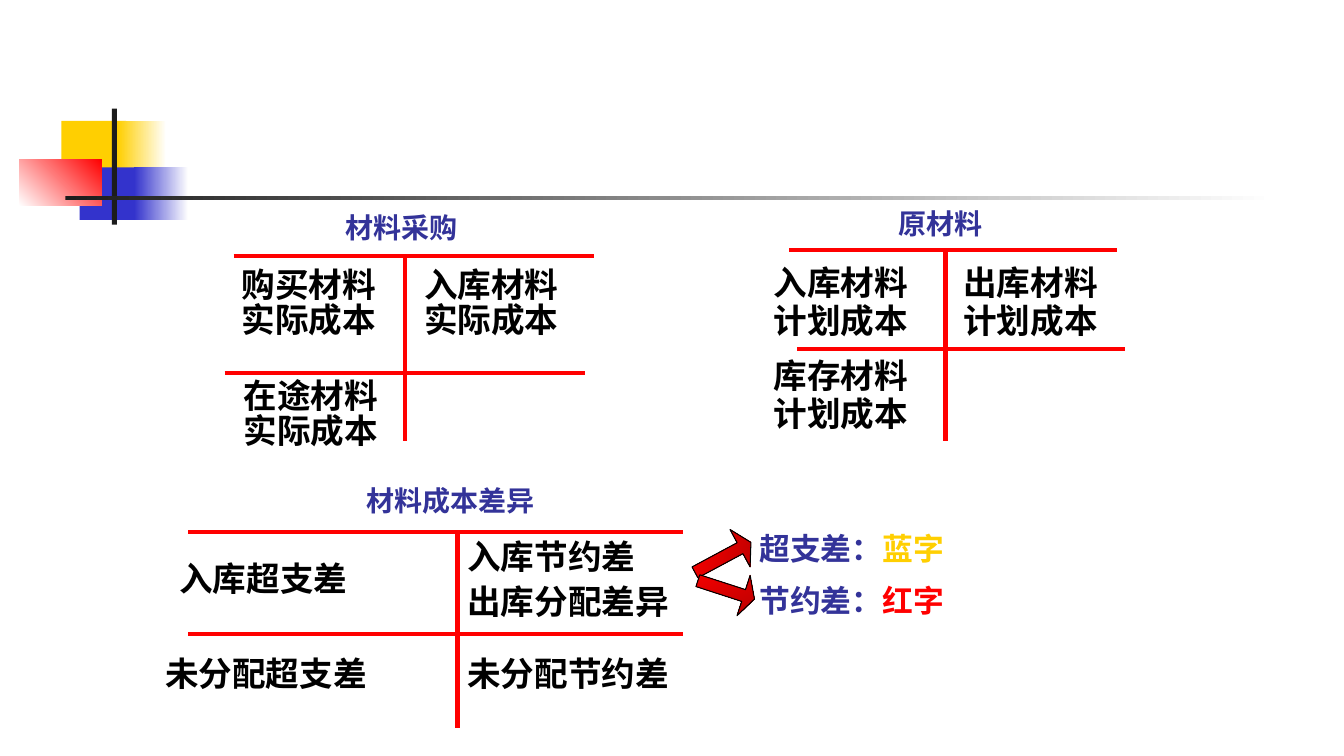
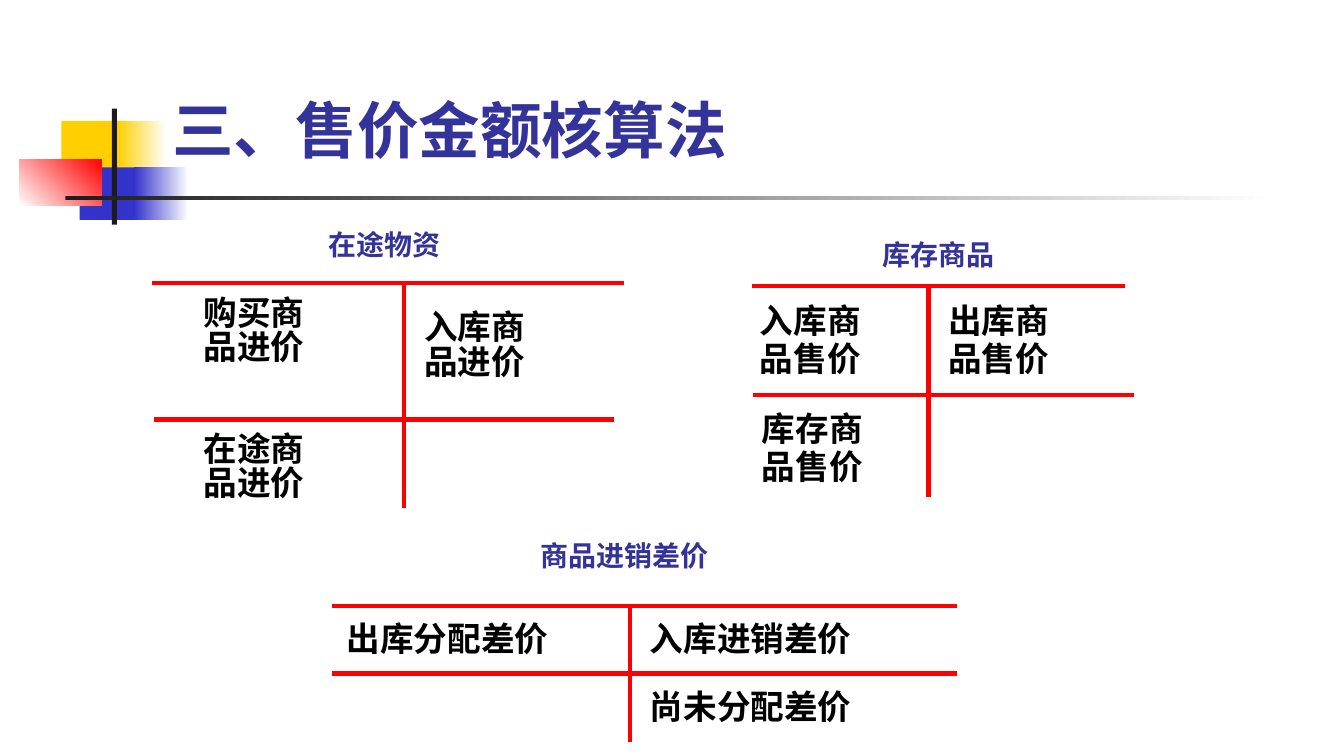
from dataclasses import dataclass

from lxml import etree
from pptx import Presentation
from pptx.dml.color import RGBColor
from pptx.enum.shapes import MSO_CONNECTOR, MSO_SHAPE
from pptx.enum.text import MSO_ANCHOR, MSO_AUTO_SIZE, PP_ALIGN
from pptx.oxml.ns import qn
from pptx.util import Cm, Pt

RECTANGLE = MSO_SHAPE.RECTANGLE
RIGHT_ARROW = MSO_SHAPE.RIGHT_ARROW
STRAIGHT = MSO_CONNECTOR.STRAIGHT
MIDDLE = MSO_ANCHOR.MIDDLE
GROW = MSO_AUTO_SIZE.SHAPE_TO_FIT_TEXT
LEFT = PP_ALIGN.LEFT

WHITE = RGBColor(0xFF, 0xFF, 0xFF)
BLACK = RGBColor(0x00, 0x00, 0x00)
INK = RGBColor(0x1C, 0x1C, 0x1C)
INDIGO = RGBColor(0x33, 0x33, 0x99)
BLUE = RGBColor(0x33, 0x33, 0xCC)
YELLOW = RGBColor(0xFF, 0xCF, 0x01)
RED = RGBColor(0xFF, 0x00, 0x00)
DARK_RED = RGBColor(0xB6, 0x00, 0x00)

CJK_FONT = "Noto Sans CJK SC"
TITLE = {"name": "Lato", "size": Pt(44), "bold": True}
CAPTION = {"name": CJK_FONT, "size": Pt(20), "bold": True}
ENTRY = {"name": CJK_FONT, "size": Pt(24), "bold": True}
REMARK = {"name": "Times New Roman", "size": Pt(22), "bold": True}

# left, top, width, height in cm, then gradient colours and angle
ORNAMENTS = [
    (1.55, 3.05, 1.63, 1.32, [YELLOW], 0),
    (2.97, 3.05, 1.22, 1.32, [YELLOW, WHITE], 0),
    (2.01, 4.22, 1.57, 1.32, [BLUE], 0),
    (3.38, 4.22, 1.37, 1.32, [BLUE, WHITE], 0),
    (0.48, 4.01, 2.08, 1.17, [WHITE, RED], 45),
    (2.82, 2.74, 0.13, 2.92, [INK], 0),
    (1.65, 4.95, 30.48, 0.08, [INK, WHITE], 0),
]


@dataclass
class Account:
    """A T-account; all but left and top is measured from its top rule, in cm."""
    left: float
    top: float
    width: float
    stem: tuple      # offset, height
    lower: tuple     # offset x, offset y, width
    caption: tuple   # offset x, offset y, width, text
    entries: list    # offset x, offset y, width, lines
    leading: float = 1.0


MATERIAL_ACCOUNTS = [
    Account(5.89, 6.45, 9.09, (4.32, 4.65), (-0.23, 2.95, 9.09),
            (2.57, -1.27, 6.12, "材料采购"),
            [(-0.05, 0, 6.15, ["购买材料", "实际成本"]),
             (4.55, 0, 6.12, ["入库材料", "实际成本"]),
             (0, 2.79, 6.15, ["在途材料", "实际成本"])], 0.3),
    Account(19.89, 6.3, 8.26, (3.94, 4.8), (0.2, 2.49, 8.26),
            (2.51, -1.24, 4.55, "原材料"),
            [(-0.64, 0.15, 5.59, ["入库材料", "计划成本"]),
             (4.14, 0.15, 5.59, ["出库材料", "计划成本"]),
             (-0.64, 2.49, 5.59, ["库存材料", "计划成本"])], 0.4),
    Account(4.75, 13.41, 12.45, (6.78, 4.93), (0, 2.57, 12.45),
            (4.24, -1.37, 10.13, "材料成本差异"),
            [(-0.48, 0.53, 6.81, ["入库超支差"]),
             (6.78, -0.03, 8.48, ["入库节约差"]),
             (6.78, 1.09, 11.58, ["出库分配差异"]),
             (-0.84, 2.92, 8.1, ["未分配超支差"]),
             (6.78, 2.92, 7.7, ["未分配节约差"])]),
]
GOODS_ACCOUNTS = [
    Account(3.84, 7.14, 11.89, (6.35, 5.66), (0.03, 3.43, 11.61),
            (4.19, -1.55, 7.14, "在途物资"),
            [(1.04, 0, 4.57, ["购买商", "品进价"]),
             (6.6, 0.37, 7.14, ["入库商", "品进价"]),
             (1.04, 3.43, 7.14, ["在途商", "品进价"])], 0.3),
    Account(18.95, 7.21, 9.4, (4.45, 5.31), (0.03, 2.74, 9.6),
            (3.05, -1.37, 5.87, "库存商品"),
            [(-0.05, 0.18, 4.11, ["入库商", "品售价"]),
             (4.7, 0.18, 6.35, ["出库商", "品售价"]),
             (0, 2.92, 4.42, ["库存商", "品售价"])], 0.4),
    Account(8.36, 15.27, 15.75, (7.52, 3.43), (0, 1.7, 15.75),
            (5, -1.83, 8.46, "商品进销差价"),
            [(0.13, 0.18, 7.65, ["出库分配差价"]),
             (7.77, 0.18, 9.65, ["入库进销差价"]),
             (7.77, 1.88, 9.65, ["尚未分配差价"])]),
]


def add_span(para, text, style, color):
    span = para.add_run()
    span.text = text
    for name, value in style.items():
        setattr(span.font, name, value)
    span.font.color.rgb = color
    etree.SubElement(span.font._element, qn("a:ea"), typeface=CJK_FONT)


def add_lines(slide, left, top, width, height, lines, style):
    """Add a text box; each line is a list of (text, colour) spans."""
    box = slide.shapes.add_textbox(Cm(left), Cm(top), Cm(width), Cm(height))
    frame = box.text_frame
    frame.word_wrap = True
    frame.auto_size = GROW
    frame.vertical_anchor = MIDDLE
    for index, spans in enumerate(lines):
        para = frame.add_paragraph() if index else frame.paragraphs[0]
        for text, color in spans:
            add_span(para, text, style, color)
    return frame.paragraphs


def add_rule(slide, left, top, width=0, height=0):
    rule = slide.shapes.add_connector(
        STRAIGHT, Cm(left), Cm(top), Cm(left + width), Cm(top + height))
    rule.line.color.rgb = RED
    rule.line.width = Pt(3)
    etree.SubElement(rule.element.spPr, qn("a:effectLst"))


def add_filled(slide, kind, left, top, width, height, colors, angle):
    """Add a shape filled with one colour, or with a gradient of two."""
    shape = slide.shapes.add_shape(kind, Cm(left), Cm(top), Cm(width), Cm(height))
    shape.shadow.inherit = False
    shape.line.fill.background()
    if len(colors) == 1:
        shape.fill.solid()
        shape.fill.fore_color.rgb = colors[0]
    else:
        shape.fill.gradient()
        shape.fill.gradient_angle = angle
        for stop, color in zip(shape.fill.gradient_stops, colors):
            stop.color.rgb = color
    return shape


def move_ornaments_to_master(deck, slide):
    for left, top, width, height, colors, angle in ORNAMENTS:
        shape = add_filled(slide, RECTANGLE, left, top, width, height, colors, angle)
        deck.slide_master.shapes.element.append(shape.element)


def add_account(slide, account):
    left, top = account.left, account.top
    add_rule(slide, left, top, width=account.width)
    offset, height = account.stem
    add_rule(slide, left + offset, top, height=height)
    across, down, width = account.lower
    add_rule(slide, left + across, top + down, width=width)
    across, down, width, text = account.caption
    add_lines(slide, left + across, top + down, width, 1.12, [[(text, INDIGO)]], CAPTION)
    for across, down, width, texts in account.entries:
        height = 1.27 if len(texts) == 1 else 2.2
        paras = add_lines(slide, left + across, top + down, width, height,
                          [[(text, BLACK)] for text in texts], ENTRY)
        for para in paras[1:]:
            para.line_spacing = account.leading
            para.space_before = Pt(13)


def add_remark(slide, left, top):
    """Add the two arrows and the note on ink colours."""
    lines = [[("超支差：", INDIGO), ("蓝字", YELLOW)],
             [("节约差：", INDIGO), ("红字", RED)]]
    for para in add_lines(slide, left + 1.47, top, 8.05, 2.72, lines, REMARK):
        para.line_spacing = Pt(36.5)
    for across, down, width, turn, head in [
            (0, 0.58, 1.6, 331.8, 0.29), (0.13, 1.4, 1.5, 18, 0.27)]:
        arrow = add_filled(slide, RIGHT_ARROW, left + across, top + down,
                           width, 1.07, [RED, DARK_RED], 315)
        arrow.rotation = turn
        arrow.adjustments[0] = 0.29
        arrow.adjustments[1] = head
        arrow.line.color.rgb = BLACK
        arrow.line.width = Pt(0.75)


def set_title(slide, text):
    title = slide.shapes.title
    title.left, title.top, title.width, title.height = (
        Cm(4.09), Cm(2.18), Cm(22.33), Cm(2.13))
    frame = title.text_frame
    frame.word_wrap = True
    frame.auto_size = GROW
    frame.vertical_anchor = MIDDLE
    para = frame.paragraphs[0]
    para.alignment = LEFT
    add_span(para, text, TITLE, INDIGO)


def main():
    deck = Presentation()
    deck.slide_width, deck.slide_height = Cm(33.87), Cm(19.05)
    title_only, blank = deck.slide_layouts[5], deck.slide_layouts[6]

    materials = deck.slides.add_slide(blank)
    move_ornaments_to_master(deck, materials)
    for account in MATERIAL_ACCOUNTS:
        add_account(materials, account)
    add_remark(materials, 17.42, 12.93)

    goods = deck.slides.add_slide(title_only)
    set_title(goods, "三、售价金额核算法")
    for account in GOODS_ACCOUNTS:
        add_account(goods, account)

    deck.save("out.pptx")


if __name__ == "__main__":
    main()
